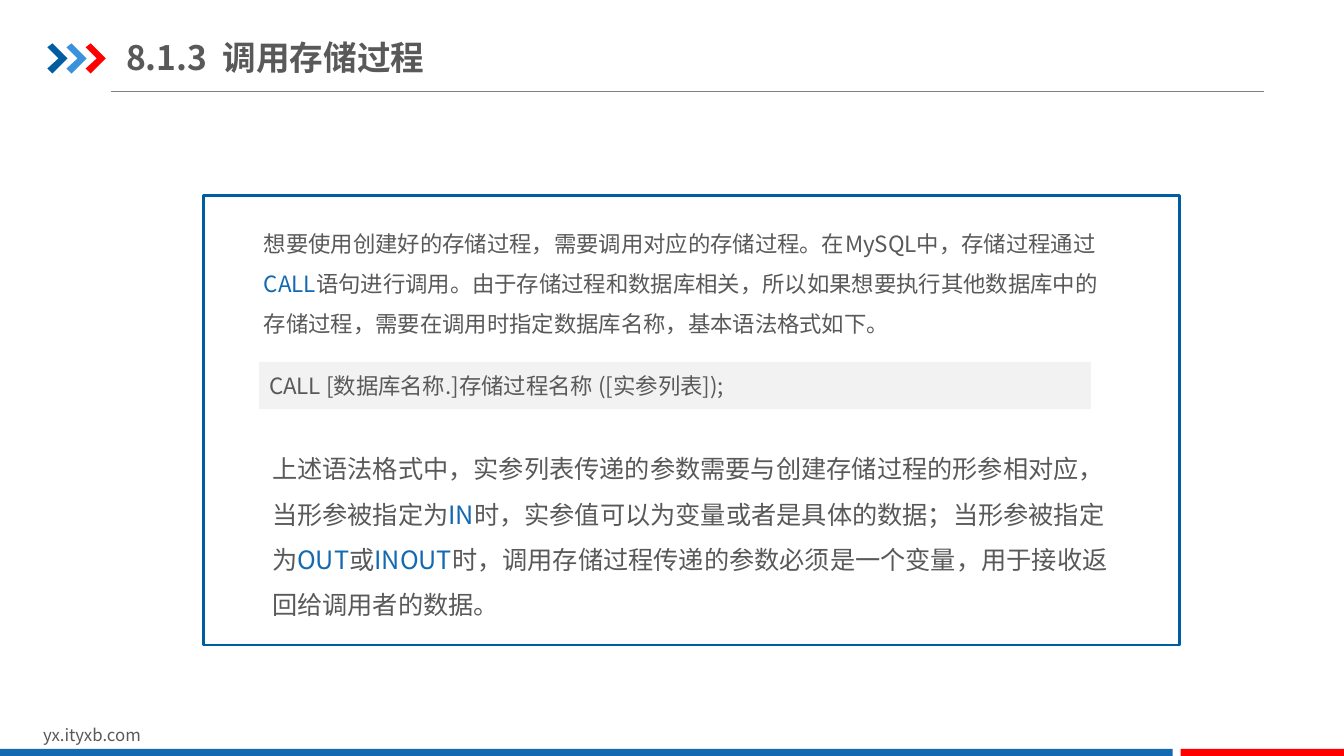
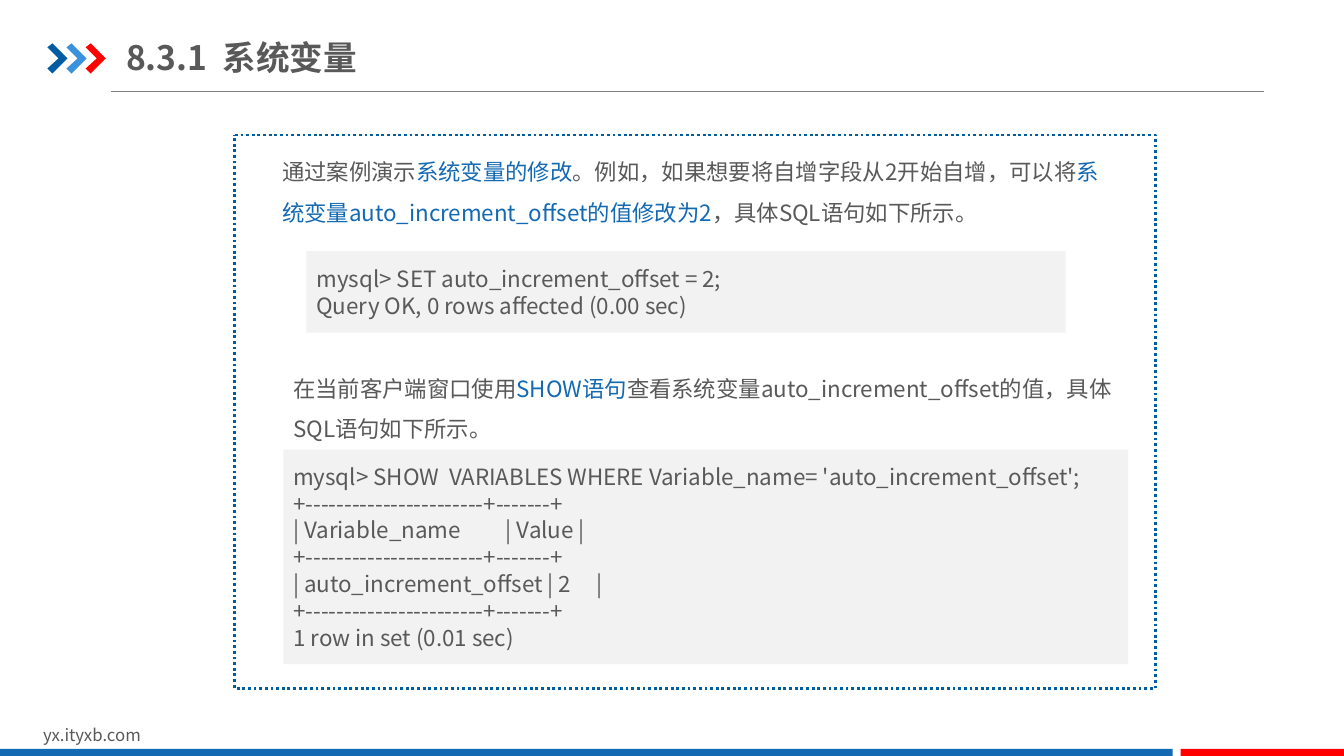
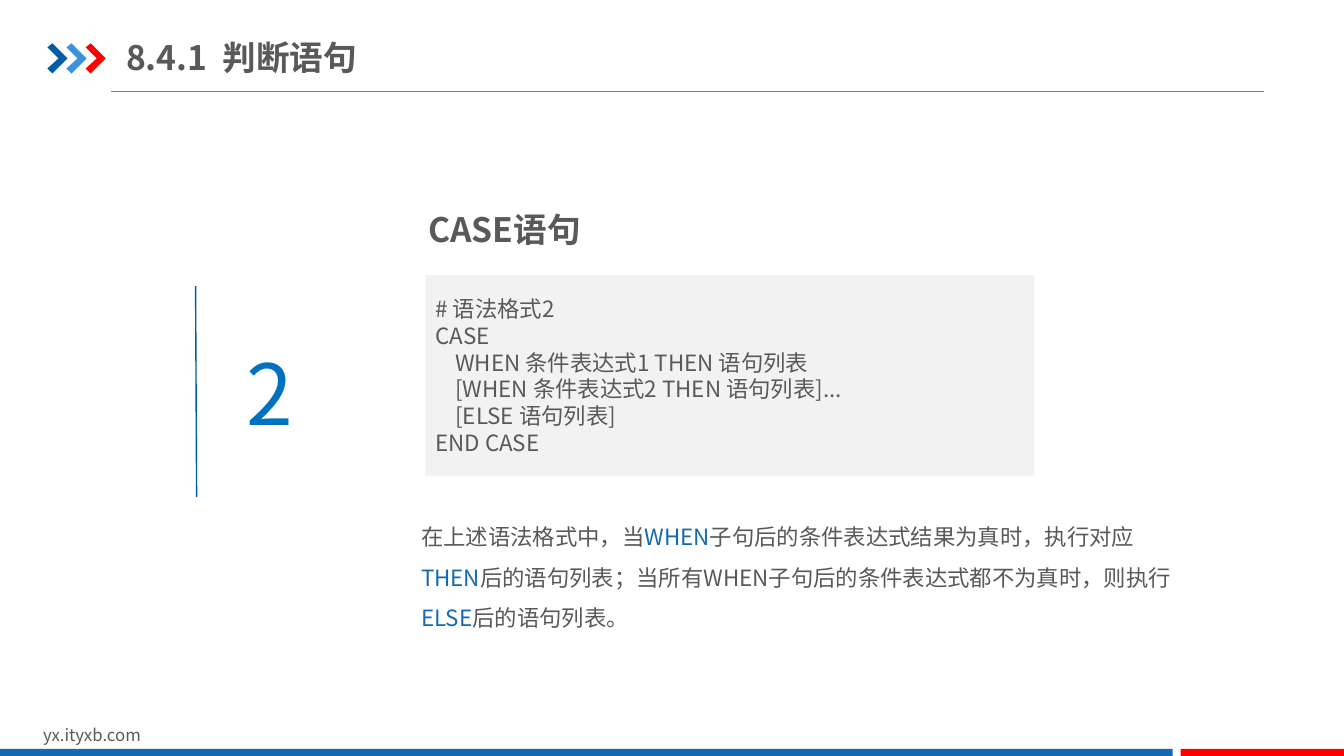
from dataclasses import dataclass
from typing import Optional

from lxml.etree import SubElement
from pptx import Presentation
from pptx.dml.color import RGBColor
from pptx.enum.dml import MSO_LINE_DASH_STYLE as Dash
from pptx.enum.shapes import MSO_CONNECTOR as Connector, MSO_SHAPE as Preset
from pptx.enum.text import MSO_ANCHOR as Anchor, MSO_AUTO_SIZE as AutoSize, PP_ALIGN as Align
from pptx.oxml.ns import qn
from pptx.shapes.autoshape import Shape
from pptx.slide import Slide
from pptx.text.text import TextFrame
from pptx.util import Inches, Pt

FONT = "Noto Sans CJK SC"
NAVY = RGBColor(0x00, 0x5D, 0xA2)
SKY = RGBColor(0x39, 0x92, 0xDB)
RED = RGBColor(0xFF, 0x00, 0x00)
BLUE = RGBColor(0x13, 0x69, 0xB2)
NUMERAL_BLUE = RGBColor(0x00, 0x70, 0xC0)
TEXT_GRAY = RGBColor(0x59, 0x59, 0x59)
RULE_GRAY = RGBColor(0x80, 0x80, 0x80)
CODE_GRAY = RGBColor(0xF2, 0xF2, 0xF2)
WHITE = RGBColor(0xFF, 0xFF, 0xFF)

SLIDE_WIDTH, SLIDE_HEIGHT = 13.33, 7.5
BAND_TOP = 7.43
CHEVRON_LEFT, CHEVRON_TOP, CHEVRON_STEP = 0.47, 0.43, 0.19
CHEVRON_OUTLINE = [(0, 0.04), (0.05, 0), (0.2, 0.15), (0.05, 0.3), (0, 0.25), (0.11, 0.15)]
EMPHASIS_MARK = "*"


@dataclass(frozen=True)
class Box:
    left: float
    top: float
    width: float
    height: float

    def lengths(self) -> tuple[int, int, int, int]:
        return Inches(self.left), Inches(self.top), Inches(self.width), Inches(self.height)


@dataclass(frozen=True)
class Prose:
    box: Box
    text: str
    size: float = 16
    spacing: float = 1.5
    color: RGBColor = TEXT_GRAY
    bold: bool = False
    inset: Optional[float] = None


@dataclass(frozen=True)
class Code:
    box: Box
    text: str


@dataclass(frozen=True)
class Frame:
    box: Box
    dash: Optional[Dash] = None


@dataclass(frozen=True)
class Rule:
    start: tuple[float, float]
    end: tuple[float, float]
    color: RGBColor
    weight: float


Element = Prose | Code | Frame | Rule


@dataclass(frozen=True)
class Page:
    title: str
    elements: list[Element]


def write_text(frame: TextFrame, text: str, size: float, color: RGBColor = TEXT_GRAY,
               bold: bool = False, spacing: Optional[float] = None) -> None:
    frame.word_wrap = True
    for index, line in enumerate(text.split("\n")):
        paragraph = frame.paragraphs[0] if index == 0 else frame.add_paragraph()
        paragraph.alignment = Align.LEFT
        paragraph.line_spacing = spacing
        font = paragraph.font
        font.size, font.bold, font.name = Pt(size), bold, FONT
        font.color.rgb = color
        defaults = paragraph._p.pPr.find(qn("a:defRPr"))
        SubElement(defaults, qn("a:ea"), typeface=FONT)
        for position, part in enumerate(line.split(EMPHASIS_MARK)):
            if not part:
                continue
            run = paragraph.add_run()
            run.text = part
            if position % 2:
                run.font.color.rgb = BLUE


def paint(shape: Shape, fill: RGBColor) -> None:
    shape.shadow.inherit = False
    shape.fill.solid()
    shape.fill.fore_color.rgb = fill
    shape.line.fill.background()


def draw_block(slide: Slide, box: Box, fill: RGBColor, preset: Preset = Preset.RECTANGLE) -> Shape:
    block = slide.shapes.add_shape(preset, *box.lengths())
    paint(block, fill)
    return block


def draw_prose(slide: Slide, prose: Prose) -> None:
    frame = slide.shapes.add_textbox(*prose.box.lengths()).text_frame
    if prose.inset is not None:
        frame.margin_left = frame.margin_right = Inches(prose.inset)
        frame.margin_top = frame.margin_bottom = Inches(prose.inset)
    write_text(frame, prose.text, prose.size, prose.color, prose.bold, prose.spacing)


def draw_code(slide: Slide, code: Code) -> None:
    frame = draw_block(slide, code.box, CODE_GRAY).text_frame
    frame.vertical_anchor = Anchor.MIDDLE
    write_text(frame, code.text, 16)


def draw_frame(slide: Slide, frame: Frame) -> None:
    border = draw_block(slide, frame.box, WHITE, Preset.FLOWCHART_PROCESS).line
    border.color.rgb = NAVY
    border.width = Pt(2)
    if frame.dash is not None:
        border.dash_style = frame.dash


def draw_rule(slide: Slide, rule: Rule) -> None:
    ends = [Inches(value) for value in (*rule.start, *rule.end)]
    connector = slide.shapes.add_connector(Connector.STRAIGHT, *ends)
    connector.line.color.rgb = rule.color
    connector.line.width = Pt(rule.weight)
    SubElement(connector._element.spPr, qn("a:effectLst"))


def draw_chevron(slide: Slide, left: float, color: RGBColor) -> None:
    points = [(Inches(left + x), Inches(CHEVRON_TOP + y)) for x, y in CHEVRON_OUTLINE]
    builder = slide.shapes.build_freeform(*points[0])
    builder.add_line_segments(points[1:], close=True)
    paint(builder.convert_to_shape(), color)


def draw_master_parts(slide: Slide) -> None:
    draw_rule(slide, Rule((1.1, 0.91), (12.54, 0.91), RULE_GRAY, 0.75))
    for index, color in enumerate((NAVY, SKY, RED)):
        draw_chevron(slide, CHEVRON_LEFT + index * CHEVRON_STEP, color)
    draw_prose(slide, Prose(Box(0.33, 7.14, 3.18, 0.3), "yx.ityxb.com", size=12, spacing=1))
    for left, right, color in ((0, 11.63, BLUE), (11.71, SLIDE_WIDTH, RED)):
        draw_block(slide, Box(left, BAND_TOP, right - left, SLIDE_HEIGHT - BAND_TOP), color)


def set_title(slide: Slide, title: str) -> None:
    placeholder = slide.shapes.title
    placeholder.left, placeholder.top, placeholder.width, placeholder.height = Box(
        1.25, 0.29, 4.26, 0.55).lengths()
    frame = placeholder.text_frame
    frame.auto_size = AutoSize.NONE
    frame.vertical_anchor = Anchor.MIDDLE
    frame.margin_left = frame.margin_right = 0
    frame.margin_top = frame.margin_bottom = Inches(0.07)
    write_text(frame, title, 24, bold=True)


DRAWERS = {Prose: draw_prose, Code: draw_code, Frame: draw_frame, Rule: draw_rule}

PAGES = [
    Page("8.1.3  调用存储过程", [
        Frame(Box(2.02, 1.94, 9.68, 4.46)),
        Prose(Box(2.52, 2.1, 8.57, 1.31),
              "想要使用创建好的存储过程，需要调用对应的存储过程。在MySQL中，存储过程通过*CALL*"
              "语句进行调用。由于存储过程和数据库相关，所以如果想要执行其他数据库中的存储过程，"
              "需要在调用时指定数据库名称，基本语法格式如下。"),
        Code(Box(2.57, 3.59, 8.25, 0.47), "CALL [数据库名称.]存储过程名称 ([实参列表]);"),
        Prose(Box(2.6, 4.3, 8.49, 1.92),
              "上述语法格式中，实参列表传递的参数需要与创建存储过程的形参相对应，当形参被指定为*IN*"
              "时，实参值可以为变量或者是具体的数据；当形参被指定为*OUT*或*INOUT*"
              "时，调用存储过程传递的参数必须是一个变量，用于接收返回给调用者的数据。", size=18),
    ]),
    Page("8.3.1  系统变量", [
        Frame(Box(2.33, 1.34, 9.13, 5.49), Dash.ROUND_DOT),
        Prose(Box(2.7, 1.39, 8.4, 0.91),
              "通过案例演示*系统变量的修改*。例如，如果想要将自增字段从2开始自增，可以将"
              "*系统变量auto_increment_offset的值修改为2*，具体SQL语句如下所示。"),
        Code(Box(3.04, 2.49, 7.53, 0.81),
             "mysql> SET auto_increment_offset = 2;\n"
             "Query OK, 0 rows affected (0.00 sec)"),
        Prose(Box(2.81, 3.54, 8.4, 0.91),
              "在当前客户端窗口使用*SHOW语句*查看系统变量auto_increment_offset的值，"
              "具体SQL语句如下所示。"),
        Code(Box(2.81, 4.46, 8.38, 2.13),
             "mysql> SHOW  VARIABLES WHERE Variable_name= 'auto_increment_offset';\n"
             "+-----------------------+-------+\n"
             "| Variable_name         | Value |\n"
             "+-----------------------+-------+\n"
             "| auto_increment_offset | 2     |\n"
             "+-----------------------+-------+\n"
             "1 row in set (0.01 sec)"),
    ]),
    Page("8.4.1  判断语句", [
        Rule((1.94, 2.84), (1.95, 4.93), NAVY, 1),
        Prose(Box(2.4, 3.34, 1.47, 1.15), "2", size=60, spacing=1, color=NUMERAL_BLUE, inset=0.05),
        Prose(Box(4.15, 2.02, 7.57, 0.5), "CASE语句", size=24, spacing=1, bold=True),
        Code(Box(4.22, 2.73, 6.04, 1.99),
             "# 语法格式2\n"
             "CASE\n"
             "    WHEN 条件表达式1 THEN 语句列表\n"
             "    [WHEN 条件表达式2 THEN 语句列表]...\n"
             "    [ELSE 语句列表]\n"
             "END CASE"),
        Prose(Box(4.08, 5.01, 7.7, 1.31),
              "在上述语法格式中，当*WHEN*子句后的条件表达式结果为真时，执行对应*THEN*"
              "后的语句列表；当所有WHEN子句后的条件表达式都不为真时，则执行*ELSE*后的语句列表。"),
    ]),
]


def main() -> None:
    deck = Presentation()
    deck.slide_width, deck.slide_height = Inches(SLIDE_WIDTH), Inches(SLIDE_HEIGHT)
    title_only = deck.slide_layouts.get_by_name("Title Only")
    for page in PAGES:
        slide = deck.slides.add_slide(title_only)
        draw_master_parts(slide)
        set_title(slide, page.title)
        for element in page.elements:
            DRAWERS[type(element)](slide, element)
    deck.save("out.pptx")


if __name__ == "__main__":
    main()
